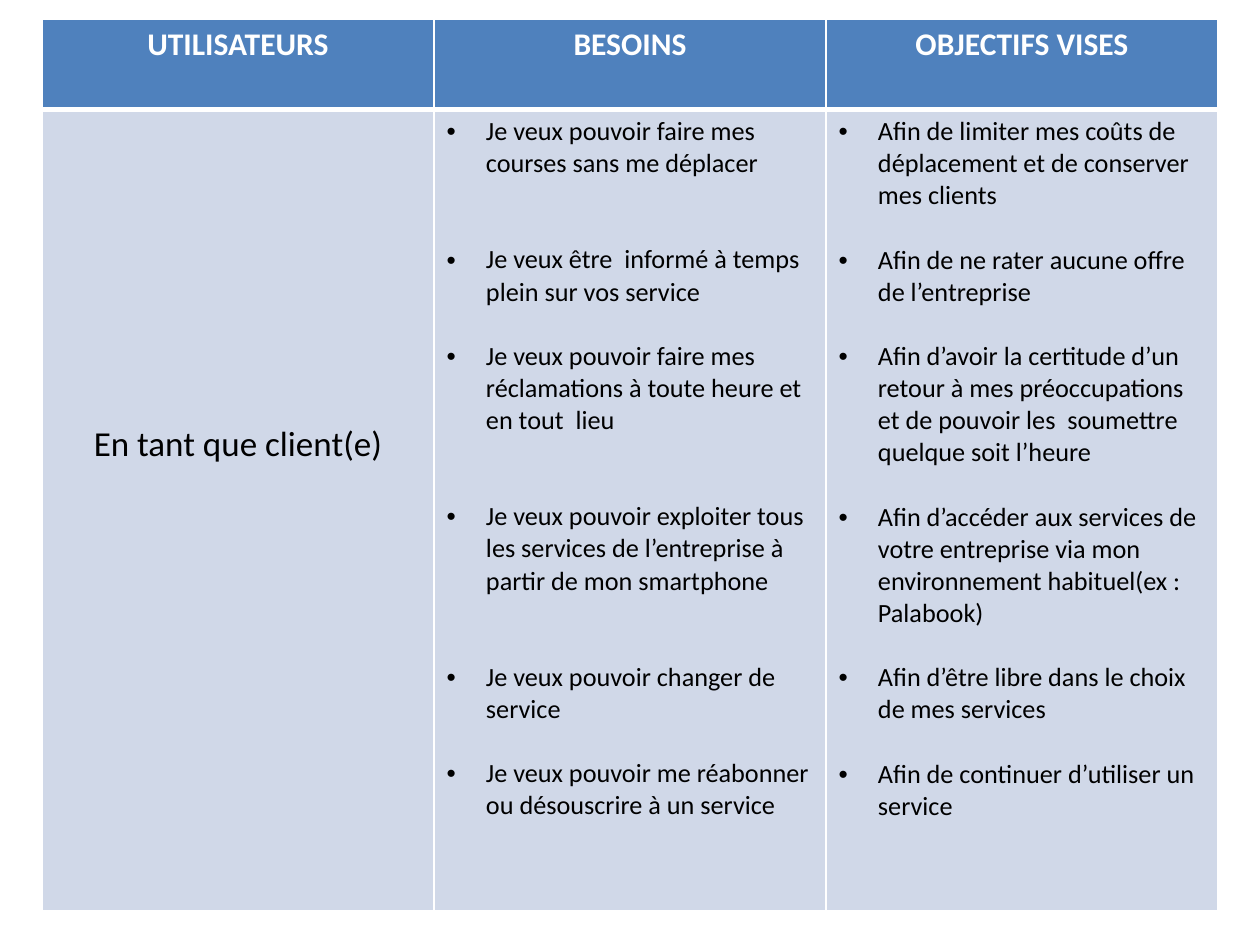
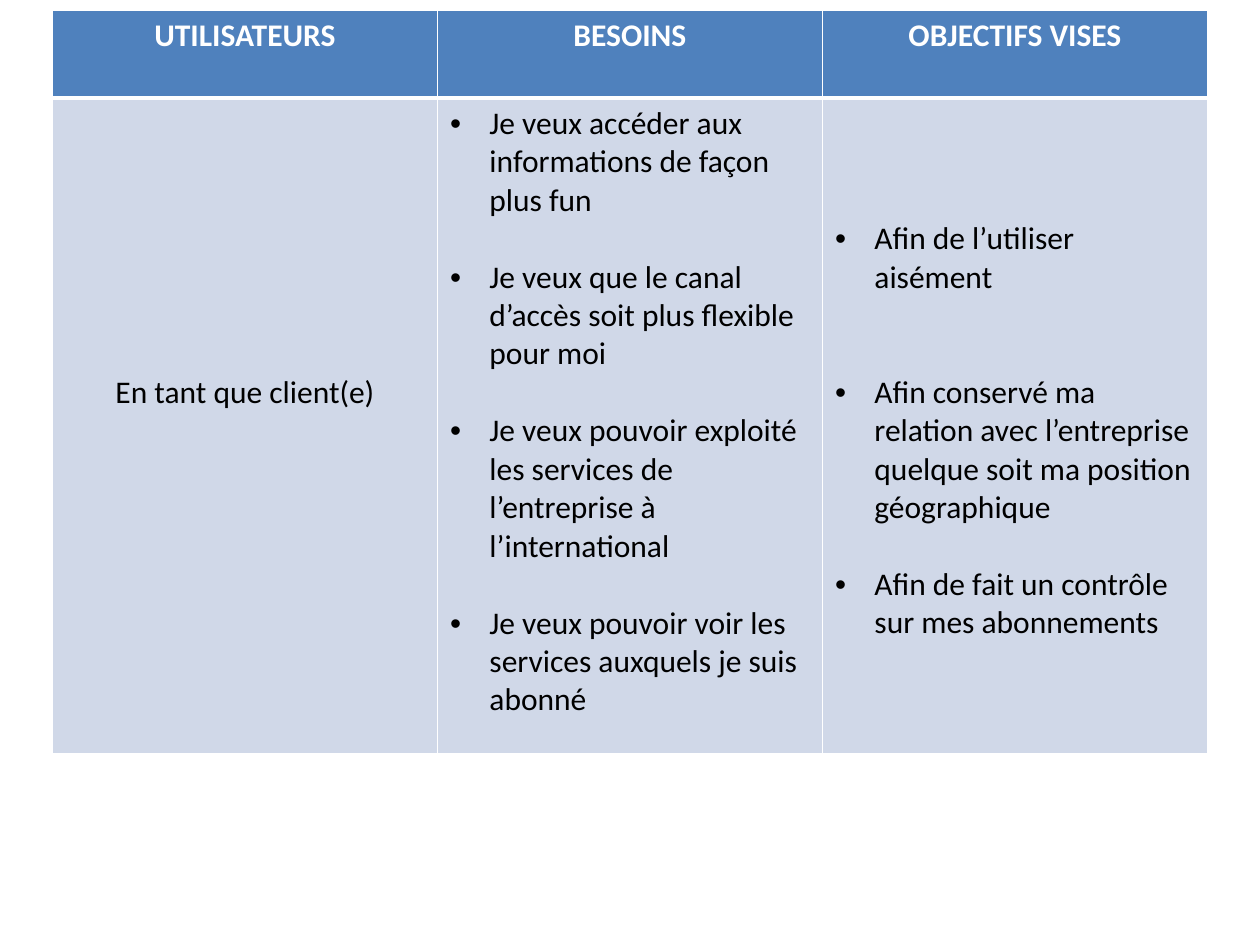
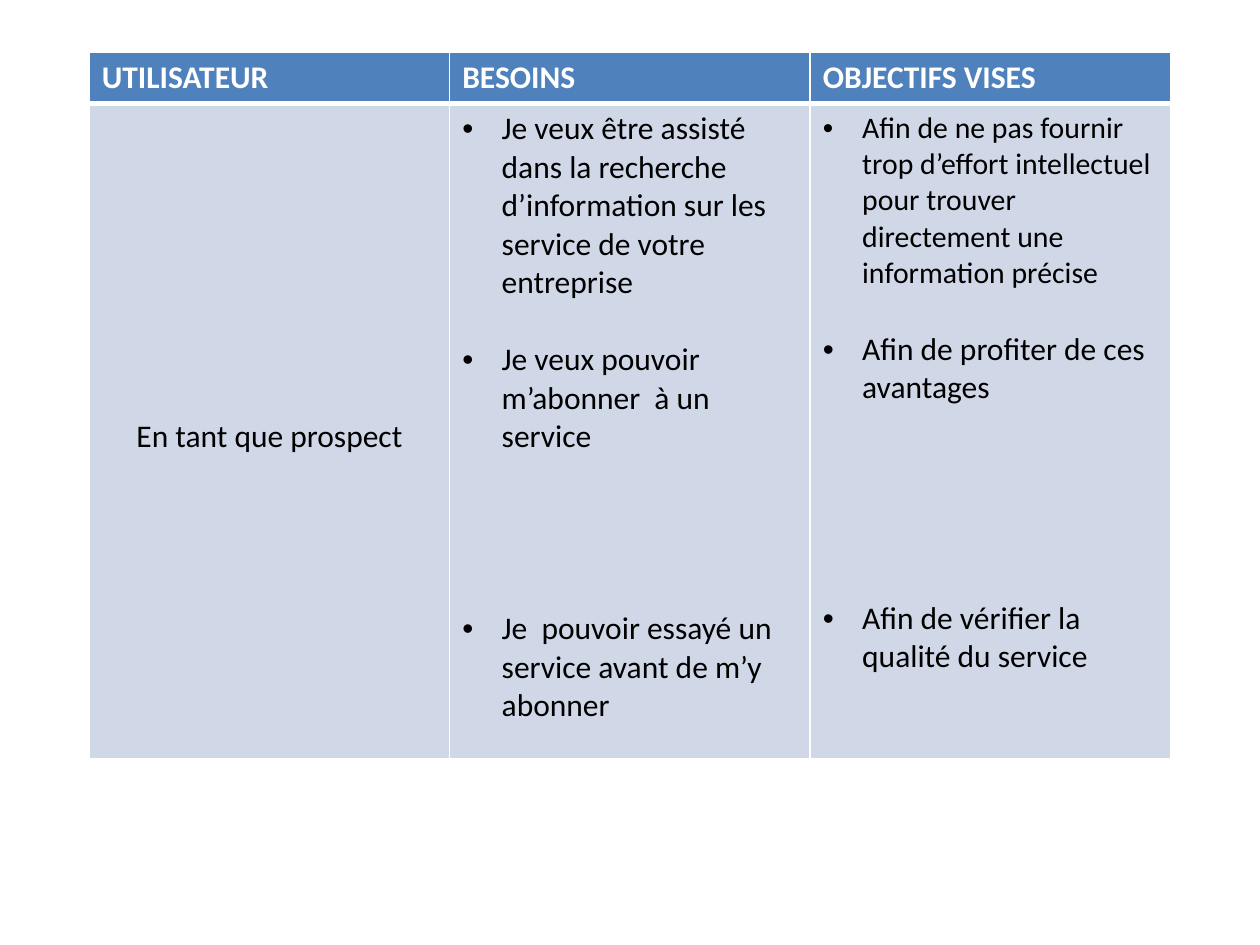
from pptx import Presentation
from pptx.dml.color import RGBColor
from pptx.enum.text import PP_ALIGN
from pptx.oxml.ns import qn
from pptx.util import Pt
from lxml.etree import SubElement

COLORS = {"head": "4F81BD", "body": "D0D8E8", "line": "FFFFFF", "text": "000000"}
FONT = "Calibri"
LEAD = 1.22
PAD = 3.6
INDENT = 22.5


def tint(name):
    """Return a named colour."""
    return RGBColor.from_string(COLORS[name])


def edge(cell, side, width):
    """Draw one white border of a cell."""
    line = SubElement(cell._tc.get_or_add_tcPr(), qn(f"a:ln{side}"), w=str(Pt(width)))
    fill = SubElement(line, qn("a:solidFill"))
    SubElement(fill, qn("a:srgbClr"), val=COLORS["line"])


def dress(cell, fill, top, bottom):
    """Give a cell its borders and fill."""
    for side, width in (("L", 1), ("R", 1), ("T", top), ("B", bottom)):
        edge(cell, side, width)
    cell.fill.solid()
    cell.fill.fore_color.rgb = tint(fill)


def write(para, text, size, color="text", bold=False):
    """Add one styled run to a paragraph."""
    run = para.add_run()
    run.text = text
    font = run.font
    font.name, font.size, font.bold = FONT, Pt(size), bold
    font.color.rgb = tint(color)


def bullet(para):
    """Set a hanging bullet on a paragraph."""
    props = para._p.get_or_add_pPr()
    props.set("marL", str(Pt(INDENT)))
    props.set("indent", str(-Pt(INDENT)))
    SubElement(props, qn("a:buFont"), typeface="Arial")
    SubElement(props, qn("a:buChar"), char="•")


def drop(cell, lines, size):
    """Lower the first line of a cell by a number of lines."""
    cell.margin_top = Pt(round(PAD + lines * size * LEAD, 2))


def fill_list(cell, items, size):
    """Write bullets, each as (lines skipped before, text, optional size)."""
    frame = cell.text_frame
    for index, (skip, text, *own) in enumerate(items):
        para = frame.add_paragraph() if index else frame.paragraphs[0]
        if index:
            para.space_before = Pt(round(skip * size * LEAD, 2))
        else:
            drop(cell, skip, size)
        bullet(para)
        write(para, text, own[0] if own else size)


def add_grid(deck, box, head, titles, user, needs, goals, size=18, big=18, align=PP_ALIGN.CENTER):
    """Add a slide with a table of user, needs and goals in a box."""
    slide = deck.slides.add_slide(deck.slide_layouts[6])
    left, top, width, height = box
    table = slide.shapes.add_table(2, 3, *map(Pt, box)).table
    for col in table.columns:
        col.width = Pt(width / 3)
    table.rows[0].height = Pt(head)
    table.rows[1].height = Pt(height - head)
    for index, title in enumerate(titles):
        cell = table.cell(0, index)
        dress(cell, "head", 1, 3)
        para = cell.text_frame.paragraphs[0]
        para.alignment = align
        write(para, title, 18, "line", True)
        dress(table.cell(1, index), "body", 3, 1)
    skip, name = user
    cell = table.cell(1, 0)
    drop(cell, skip, 18)
    para = cell.text_frame.paragraphs[0]
    para.alignment = PP_ALIGN.CENTER
    write(para, name, big)
    fill_list(table.cell(1, 1), needs, size)
    fill_list(table.cell(1, 2), goals, size)


def main():
    """Build and save the deck."""
    deck = Presentation()
    deck.slide_width, deck.slide_height = Pt(720), Pt(540)
    titles = ["UTILISATEURS", "BESOINS", "OBJECTIFS VISES"]
    add_grid(
        deck, (24, 11, 672, 509.5), 51.5, titles, (8, "En tant que client(e)"),
        [
            (0, "Je veux pouvoir faire mes courses sans me déplacer"),
            (2, "Je veux être  informé à temps plein sur vos service"),
            (1, "Je veux pouvoir faire mes réclamations à toute heure et en tout  lieu"),
            (2, "Je veux pouvoir exploiter tous les services de l’entreprise à partir de mon smartphone"),
            (2, "Je veux pouvoir changer de service"),
            (1, "Je veux pouvoir me réabonner ou désouscrire à un service"),
        ],
        [
            (0, "Afin de limiter mes coûts de déplacement et de conserver mes clients"),
            (1, "Afin de ne rater aucune offre de l’entreprise"),
            (1, "Afin d’avoir la certitude d’un retour à mes préoccupations et de pouvoir les  soumettre quelque soit l’heure"),
            (1, "Afin d’accéder aux services de votre entreprise via mon environnement habituel(ex : Palabook)"),
            (1, "Afin d’être libre dans le choix de mes services"),
            (1, "Afin de continuer d’utiliser un service"),
        ],
        size=15, big=20,
    )
    add_grid(
        deck, (30, 6, 660, 424.5), 50, titles, (7, "En tant que client(e)"),
        [
            (0, "Je veux accéder aux informations de façon plus fun"),
            (1, "Je veux que le canal d’accès soit plus flexible pour moi"),
            (1, "Je veux pouvoir exploité les services de l’entreprise à l’international"),
            (1, "Je veux pouvoir voir les services auxquels je suis abonné"),
        ],
        [
            (3, "Afin de l’utiliser aisément"),
            (2, "Afin conservé ma relation avec l’entreprise quelque soit ma position géographique"),
            (1, "Afin de fait un contrôle sur mes abonnements"),
        ],
    )
    add_grid(
        deck, (51, 30, 618, 403.5), 29.2, ["UTILISATEUR", *titles[1:]], (8, "En tant que prospect"),
        [
            (0, "Je veux être assisté dans la recherche d’information sur les service de votre entreprise"),
            (1, "Je veux pouvoir m’abonner  à un service"),
            (4, "Je  pouvoir essayé un service avant de m’y abonner"),
        ],
        [
            (0, "Afin de ne pas fournir trop d’effort intellectuel pour trouver directement une information précise", 17),
            (1, "Afin de profiter de ces avantages"),
            (5, "Afin de vérifier la qualité du service"),
        ],
        align=PP_ALIGN.LEFT,
    )
    deck.save("out.pptx")


if __name__ == "__main__":
    main()
